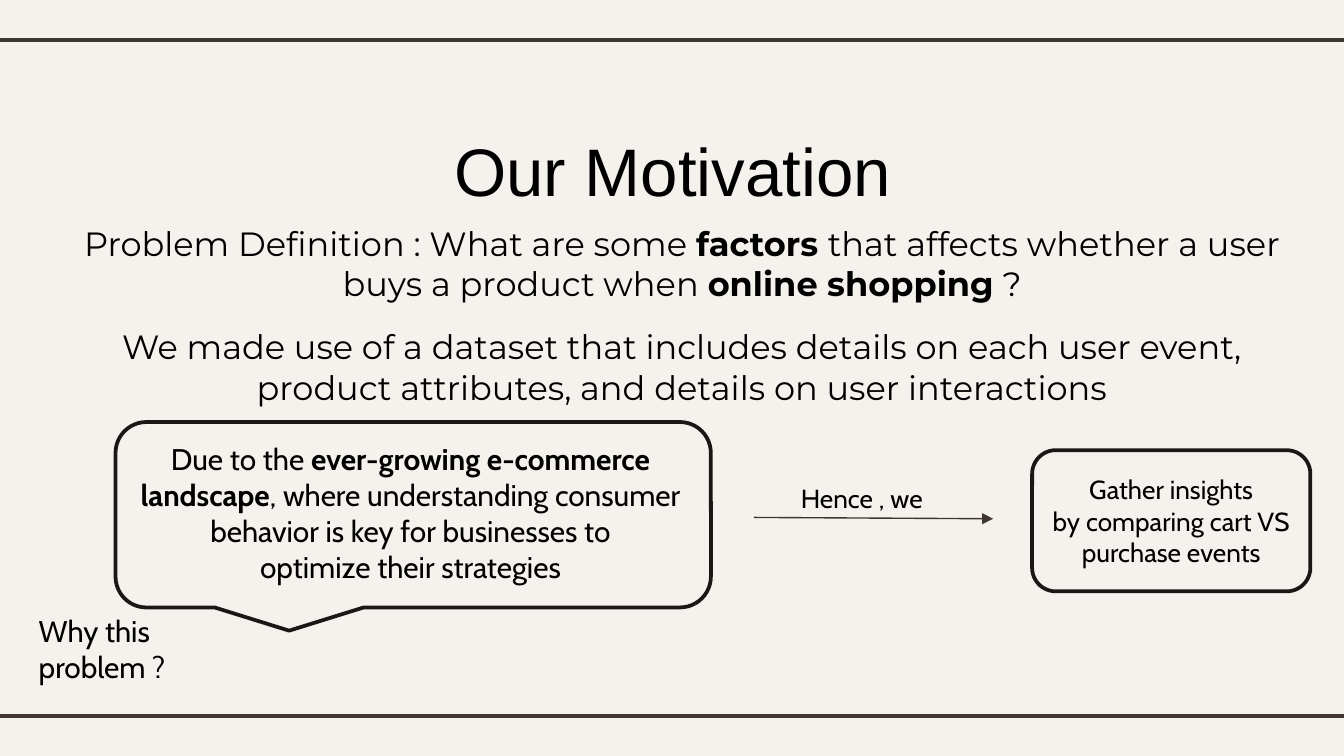
from lxml import etree
from pptx import Presentation
from pptx.dml.color import RGBColor
from pptx.enum.shapes import MSO_CONNECTOR, MSO_SHAPE
from pptx.enum.text import MSO_ANCHOR, PP_ALIGN
from pptx.oxml.ns import qn
from pptx.util import Inches, Pt

LINE = MSO_CONNECTOR.STRAIGHT
CALLOUT = MSO_SHAPE.ROUNDED_RECTANGULAR_CALLOUT
ROUND = MSO_SHAPE.ROUNDED_RECTANGLE
TOP, MIDDLE = MSO_ANCHOR.TOP, MSO_ANCHOR.MIDDLE
LEFT, CENTER = PP_ALIGN.LEFT, PP_ALIGN.CENTER
HARD = chr(160)

COLORS = {
    "paper": "F5F2EE",
    "rule": "3F3533",
    "arrow": "3E3432",
    "edge": "1C1716",
    "text": "000000",
}
TITLE = {"name": "Arial", "size": Pt(36)}
LEAD = {"name": "Montserrat", "size": Pt(18)}
BODY = {"name": "Cabin", "size": Pt(16)}
SMALL = {"name": "Cabin", "size": Pt(14)}


def color(key):
    """Return the named colour."""
    return RGBColor.from_string(COLORS[key])


def fill_text(shape, paras, font, align=LEFT, after=0, anchor=TOP, inset=0.05):
    """Write paragraphs of (text, bold) runs into a shape."""
    frame = shape.text_frame
    form = {
        "word_wrap": True,
        "vertical_anchor": anchor,
        "margin_top": Inches(inset),
        "margin_bottom": Inches(inset),
    }
    for name, value in form.items():
        setattr(frame, name, value)
    for i, runs in enumerate(paras):
        para = frame.add_paragraph() if i else frame.paragraphs[0]
        para.alignment = align
        para.space_after = Pt(after)
        for text, bold in runs:
            run = para.add_run()
            run.text = text
            for name, value in {**font, "bold": bold}.items():
                setattr(run.font, name, value)
            run.font.color.rgb = color("text")


def add_text(slide, box, paras, font, **form):
    """Add a text box."""
    shape = slide.shapes.add_textbox(*map(Inches, box))
    fill_text(shape, paras, font, **form)


def add_frame(slide, kind, box):
    """Add an unfilled outlined shape."""
    shape = slide.shapes.add_shape(kind, *map(Inches, box))
    shape.shadow.inherit = False
    shape.fill.background()
    shape.line.color.rgb = color("edge")
    shape.line.width = Pt(2)
    return shape


def add_line(slide, ends, key, width, arrow=False):
    """Add a straight line, with an arrowhead if wanted."""
    line = slide.shapes.add_connector(LINE, *map(Inches, ends))
    line.line.color.rgb = color(key)
    line.line.width = Pt(width)
    if arrow:
        stroke = line.line._get_or_add_ln()
        etree.SubElement(stroke, qn("a:tailEnd"), type="triangle")
    etree.SubElement(line._element.spPr, qn("a:effectLst"))


def main():
    """Build and save the motivation slide."""
    deck = Presentation()
    deck.slide_width = Inches(10)
    deck.slide_height = deck.slide_width * 9 // 16
    slide = deck.slides.add_slide(deck.slide_layouts[6])
    back = slide.background.fill
    back.solid()
    back.fore_color.rgb = color("paper")

    for y in (0.3, 5.33):
        add_line(slide, (-0.08, y, 10.08, y), "rule", 2.25)

    lead = [
        [
            ("Problem Definition : What are some ", False),
            ("factors ", True),
            ("that affects whether a user buys a product when ", False),
            ("online shopping", True),
            (" ?", False),
        ],
        [("We made use of a dataset that includes details on each user event, "
          "product attributes, and details on user interactions", False)],
    ]
    add_text(slide, (0.42, 1.56, 9.31, 1.79), lead, LEAD,
             align=CENTER, after=12, inset=0.1)
    add_text(slide, (2.64, 0.86, 4.73, 0.54), [[("Our Motivation", False)]],
             TITLE, align=CENTER, inset=0.1)

    reason = [[
        ("Due to the ", False),
        ("ever-growing e-commerce landscape", True),
        (f", where{HARD}understanding consumer behavior is key for businesses "
         f"to optimize{HARD}their strategies", False),
    ]]
    add_text(slide, (0.82, 3.23, 4.47, 1.18), reason, BODY,
             align=CENTER, after=12)
    add_text(slide, (0.19, 4.51, 1.3, 0.64),
             [[("Why this problem ?", False)]], BODY)
    add_frame(slide, CALLOUT, (0.86, 3.14, 4.43, 1.38))

    goal = add_frame(slide, ROUND, (7.68, 3.35, 2.07, 1.05))
    aim = f"Gather insights by{HARD}comparing{HARD}cart VS purchase events"
    fill_text(goal, [[(aim, False)]], SMALL, align=CENTER, anchor=MIDDLE)

    add_line(slide, (5.61, 3.85, 7.39, 3.86), "arrow", 0.75, arrow=True)
    add_text(slide, (5.86, 3.54, 1.22, 0.34), [[("Hence , we", False)]], SMALL)
    deck.save("out.pptx")


if __name__ == "__main__":
    main()
